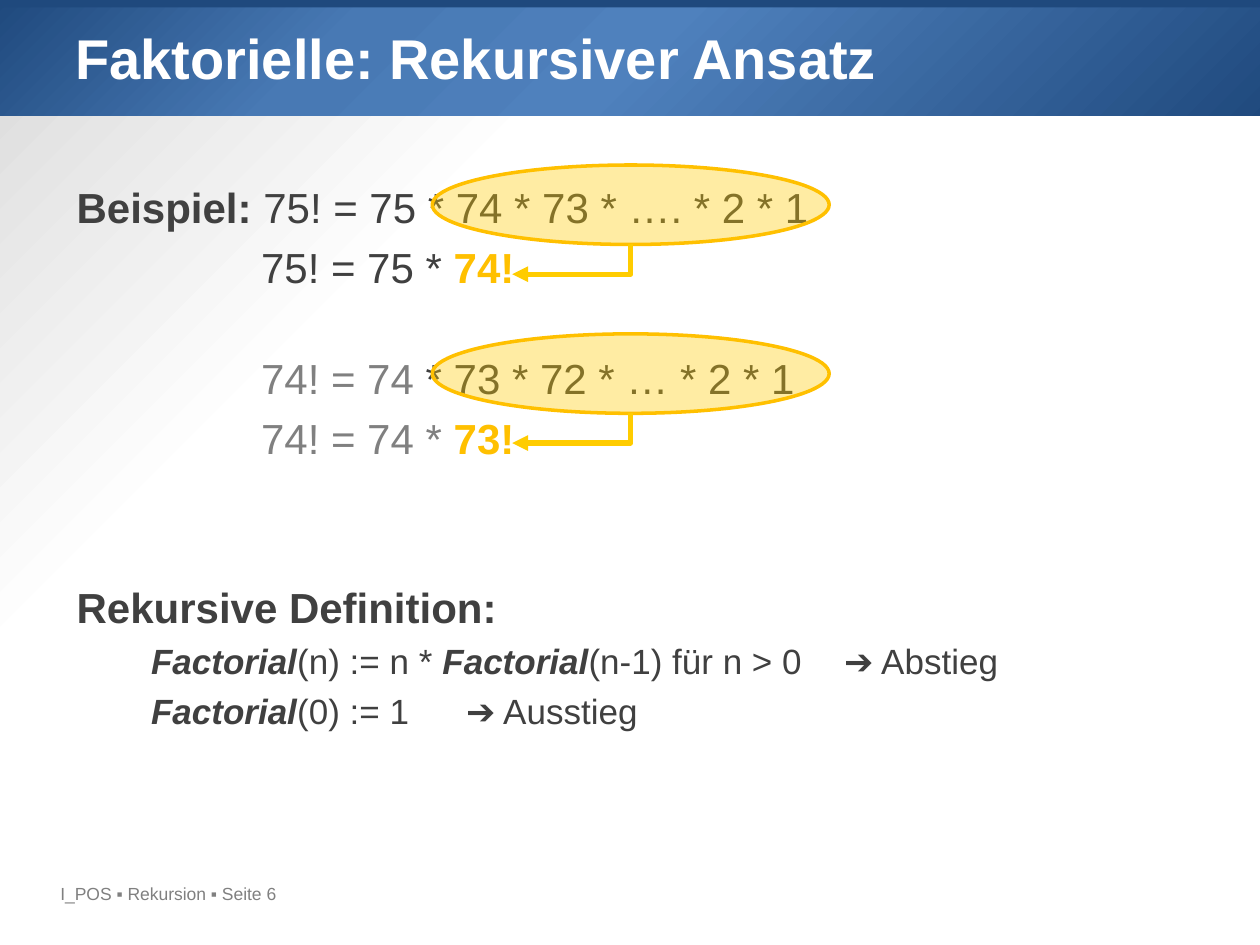
from dataclasses import dataclass, field

from lxml import etree
from pptx import Presentation
from pptx.dml.color import RGBColor
from pptx.enum.shapes import MSO_CONNECTOR, MSO_SHAPE
from pptx.oxml.ns import qn
from pptx.util import Pt

RECT, OVAL, ELBOW = MSO_SHAPE.RECTANGLE, MSO_SHAPE.OVAL, MSO_CONNECTOR.ELBOW
BLANK = 6


@dataclass(frozen=True)
class Theme:
    font: str = "Arial"
    navy: str = "1F497D"
    steel: str = "4879B4"
    blue: str = "4F81BD"
    white: str = "FFFFFF"
    silver: str = "D9D9D9"
    text: str = "404040"
    muted: str = "808080"
    amber: str = "FFC000"
    yellow: str = "FFCC00"
    title: int = 32
    body: int = 24
    detail: int = 20
    footer: int = 10


T = Theme()


@dataclass
class Run:
    text: str
    color: str = T.text
    size: float = T.body
    fmt: dict = field(default_factory=dict)


@dataclass
class Para:
    runs: list[Run]
    before: float = 0
    indent: float = 0
    tab: float = 0


@dataclass
class Box:
    left: float
    top: float
    width: float
    height: float

    def lengths(self) -> list:
        return [Pt(v) for v in (self.left, self.top, self.width, self.height)]


def sub(parent, tag: str, **attrs):
    return etree.SubElement(parent, qn(tag), {k: str(v) for k, v in attrs.items()})


def path_gradient(fill, element, stops: list, focus: dict) -> None:
    """Circular gradient; stops are (percent, colour), focus is in percent."""
    fill.gradient()
    grad = next(element.iter(qn("a:gradFill")))
    for child in list(grad):
        grad.remove(child)
    gs_list = sub(grad, "a:gsLst")
    for pos, color in stops:
        sub(sub(gs_list, "a:gs", pos=pos * 1000), "a:srgbClr", val=color)
    path = sub(grad, "a:path", path="circle")
    sub(path, "a:fillToRect", **{k: v * 1000 for k, v in focus.items()})


def add_filled(s, kind, box: Box, color: str):
    sp = s.shapes.add_shape(kind, *box.lengths())
    sp.shadow.inherit = False
    sp.fill.solid()
    sp.fill.fore_color.rgb = RGBColor.from_string(color)
    sp.line.fill.background()
    return sp


def add_text(s, box: Box, paras: list[Para]) -> None:
    tf = s.shapes.add_textbox(*box.lengths()).text_frame
    tf.word_wrap = True
    for i, para in enumerate(paras):
        p = tf.paragraphs[0] if i == 0 else tf.add_paragraph()
        p.space_before = Pt(para.before)
        pPr = p._p.get_or_add_pPr()
        if para.indent:
            pPr.set("marL", str(Pt(para.indent)))
            pPr.set("indent", "0")
        if para.tab:
            sub(sub(pPr, "a:tabLst"), "a:tab", pos=Pt(para.tab), algn="l")
        for run in para.runs:
            r = p.add_run()
            r.text = run.text
            base = {"name": T.font, "size": Pt(run.size), "bold": False, "italic": False}
            for name, value in (base | run.fmt).items():
                setattr(r.font, name, value)
            r.font.color.rgb = RGBColor.from_string(run.color)


def add_callout(s, box: Box) -> None:
    """Translucent ellipse with an elbow arrow back to the shortened factor."""
    sp = add_filled(s, OVAL, box, T.yellow)
    sub(next(sp.element.iter(qn("a:srgbClr"))), "a:alpha", val=36000)
    sp.line.color.rgb = RGBColor.from_string(T.amber)
    sp.line.width = Pt(2)

    # The elbow is drawn upright and turned by 90 degrees about its centre
    run, drop = 67.7, 17
    cx = box.left + box.width / 2 - run / 2
    cy = box.top + box.height + drop / 2
    ends = (cx - drop / 2, cy - run / 2, cx + drop / 2, cy + run / 2)
    arrow = s.shapes.add_connector(ELBOW, *[Pt(v) for v in ends])
    arrow.line.color.rgb = RGBColor.from_string(T.yellow)
    arrow.line.width = Pt(3)
    spPr = arrow.element.spPr
    spPr.find(qn("a:xfrm")).set("rot", "5400000")
    spPr.find(qn("a:prstGeom")).set("prst", "bentConnector2")
    sub(spPr.find(qn("a:ln")), "a:tailEnd", type="triangle")
    sub(spPr, "a:effectLst")


BOLD = {"bold": True}
NAME = {"bold": True, "italic": True}
GAP, DETAIL_GAP, FORMULA, DETAIL, NOTE_TAB = 5.5, 4.6, 105.4, 42.5, 432


def definition(*parts: tuple[str, dict]) -> Para:
    runs = [Run(text, size=T.detail, fmt=fmt) for text, fmt in parts]
    return Para(runs, DETAIL_GAP, DETAIL, NOTE_TAB)


BODY = [
    Para([Run("Beispiel: ", fmt=BOLD), Run("75! = 75 * 74 * 73 * …. * 2 * 1")]),
    Para([Run("75! = 75 * "), Run("74!", T.amber, fmt=BOLD)], GAP, FORMULA),
    Para([Run("74! = 74 ", T.muted), Run("* 73 * 72 * … * 2 * 1")], 34.7, FORMULA),
    Para([Run("74! = 74 * ", T.muted), Run("73!", T.amber, fmt=BOLD)], GAP, FORMULA),
    Para([Run("Rekursive Definition:", fmt=BOLD)], 67.8),
    definition(("Factorial", NAME), ("(n) := n * ", {}), ("Factorial", NAME),
               ("(n-1) für n > 0\t➔ Abstieg", {})),
    definition(("Factorial", NAME), ("(0) := 1\t➔ Ausstieg", {})),
]


def main() -> None:
    prs = Presentation()
    prs.slide_width, prs.slide_height = Pt(720), Pt(540)
    s = prs.slides.add_slide(prs.slide_layouts[BLANK])

    # Background and header band
    path_gradient(s.background.fill, s.element, [(70, T.white), (100, T.silver)],
                  {"l": 100, "t": 100, "r": 0, "b": 0})
    band = add_filled(s, RECT, Box(-0.7, -0.7, 728.6, 67), T.navy)
    path_gradient(band.fill, band.element,
                  [(0, T.navy), (27, T.steel), (50, T.blue), (100, T.navy)],
                  {"l": 0, "t": 0, "r": 100, "b": 100})
    add_filled(s, RECT, Box(-0.7, -2.2, 728.6, 6.5), T.navy)

    # Footer, title and body
    add_text(s, Box(27.4, 501, 309.6, 18.7),
             [Para([Run("I_POS ▪ Rekursion ▪ Seite 6", T.muted, T.footer)])])
    add_text(s, Box(36, 10, 648, 90),
             [Para([Run("Faktorielle: Rekursiver Ansatz", T.white, T.title, BOLD)])])
    add_text(s, Box(36.7, 100, 646.6, 368.6), BODY)

    # Callouts around the remaining factors
    for i in range(2):
        add_callout(s, Box(247, 94.3 + i * 96.5, 226.8, 45.4))

    prs.save("out.pptx")


if __name__ == "__main__":
    main()
